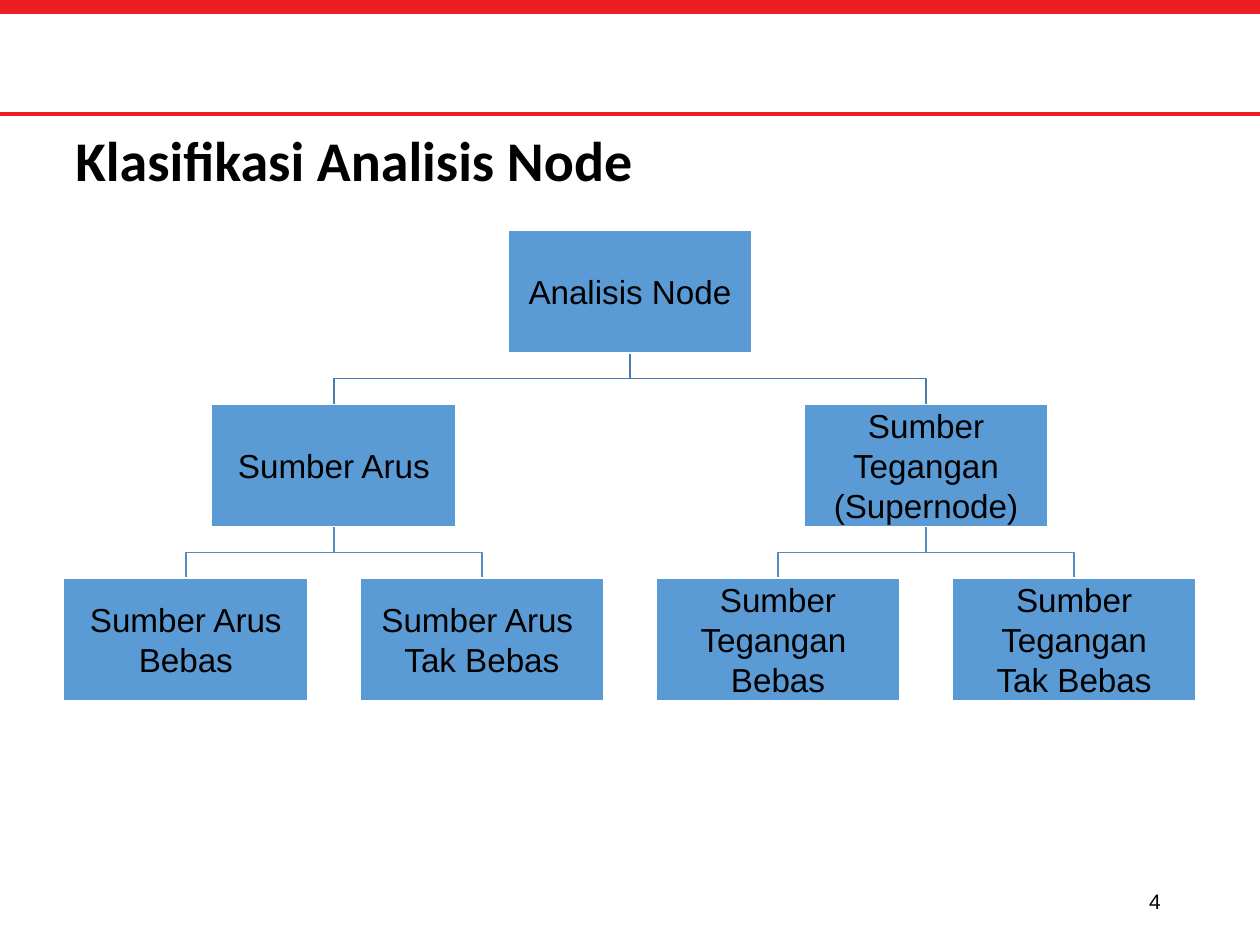
from pptx import Presentation
from pptx.dml.color import RGBColor
from pptx.enum.shapes import MSO_SHAPE
from pptx.enum.text import MSO_ANCHOR, PP_ALIGN
from pptx.util import Inches, Pt

RECT = MSO_SHAPE.RECTANGLE
MIDDLE = MSO_ANCHOR.MIDDLE
LEFT, CENTER, RIGHT = PP_ALIGN.LEFT, PP_ALIGN.CENTER, PP_ALIGN.RIGHT
RED = RGBColor(0xED, 0x1D, 0x24)
BLUE = RGBColor(0x5B, 0x9B, 0xD5)
WHITE = RGBColor(0xFF, 0xFF, 0xFF)
BLACK = RGBColor(0, 0, 0)
LINK_COLORS = [RGBColor(0x49, 0x7C, 0xAB), RGBColor(0x53, 0x8D, 0xC1)]

BOX_W, BOX_H = 1.94, 0.97
TOP, ROW_STEP = 1.83, 1.38
CENTER_X, COL_STEP = 5, 2.35

prs = Presentation()
prs.slide_width, prs.slide_height = Inches(10), Inches(7.5)
s = prs.slides.add_slide(prs.slide_layouts[6])


def add_rect(x, y, w, h, color):
    sp = s.shapes.add_shape(RECT, Inches(x), Inches(y), Inches(w), Inches(h))
    sp.shadow.inherit = False
    sp.fill.solid()
    sp.fill.fore_color.rgb = color
    sp.line.fill.background()
    return sp


def set_text(sp, text, size, font, align, bold=False):
    tf = sp.text_frame
    tf.word_wrap = True
    tf.vertical_anchor = MIDDLE
    tf.text = text
    for p in tf.paragraphs:
        p.alignment = align
        p.font.size = Pt(size)
        p.font.name = font
        p.font.bold = bold
        p.font.color.rgb = BLACK
    return tf


for y, h in [(0, 0.11), (0.89, 0.03)]:
    add_rect(0, y, 10, h, RED)

title = s.shapes.add_textbox(Inches(0.5), Inches(0.92), Inches(9), Inches(0.75))
tf = set_text(title, "Klasifikasi Analisis Node", 32, "Calibri", LEFT, True)
tf.paragraphs[0].line_spacing = 0.9

number = s.shapes.add_textbox(Inches(7.06), Inches(6.95), Inches(2.25), Inches(0.4))
set_text(number, "4", 12, "Arial", RIGHT)

levels = [
    ["Analisis Node"],
    ["Sumber Arus", "Sumber Tegangan\n(Supernode)"],
    ["Sumber Arus Bebas", "Sumber Arus \nTak Bebas",
     "Sumber Tegangan \nBebas", "Sumber Tegangan\nTak Bebas"],
]
centers = [
    [CENTER_X],
    [CENTER_X + k * COL_STEP for k in (-1, 1)],
    [CENTER_X + k * COL_STEP for k in (-1.5, -0.5, 0.5, 1.5)],
]

for level in (1, 2):
    y = TOP + level * ROW_STEP
    start = y - ROW_STEP + BOX_H
    bend = (start + y) / 2
    for i, x in enumerate(centers[level]):
        parent_x = centers[level - 1][i // 2]
        fb = s.shapes.build_freeform(Inches(parent_x), Inches(start))
        fb.add_line_segments(
            [(Inches(parent_x), Inches(bend)), (Inches(x), Inches(bend)), (Inches(x), Inches(y))],
            close=False)
        link = fb.convert_to_shape()
        link.shadow.inherit = False
        link.fill.background()
        link.line.color.rgb = LINK_COLORS[level - 1]
        link.line.width = Pt(1)

for level, labels in enumerate(levels):
    for x, label in zip(centers[level], labels):
        box = add_rect(x - BOX_W / 2, TOP + level * ROW_STEP, BOX_W, BOX_H, BLUE)
        box.line.color.rgb = WHITE
        box.line.width = Pt(1)
        tf = set_text(box, label, 19, "Arial", CENTER)
        tf.margin_left = tf.margin_right = tf.margin_top = tf.margin_bottom = Inches(0.01)

prs.save("out.pptx")
